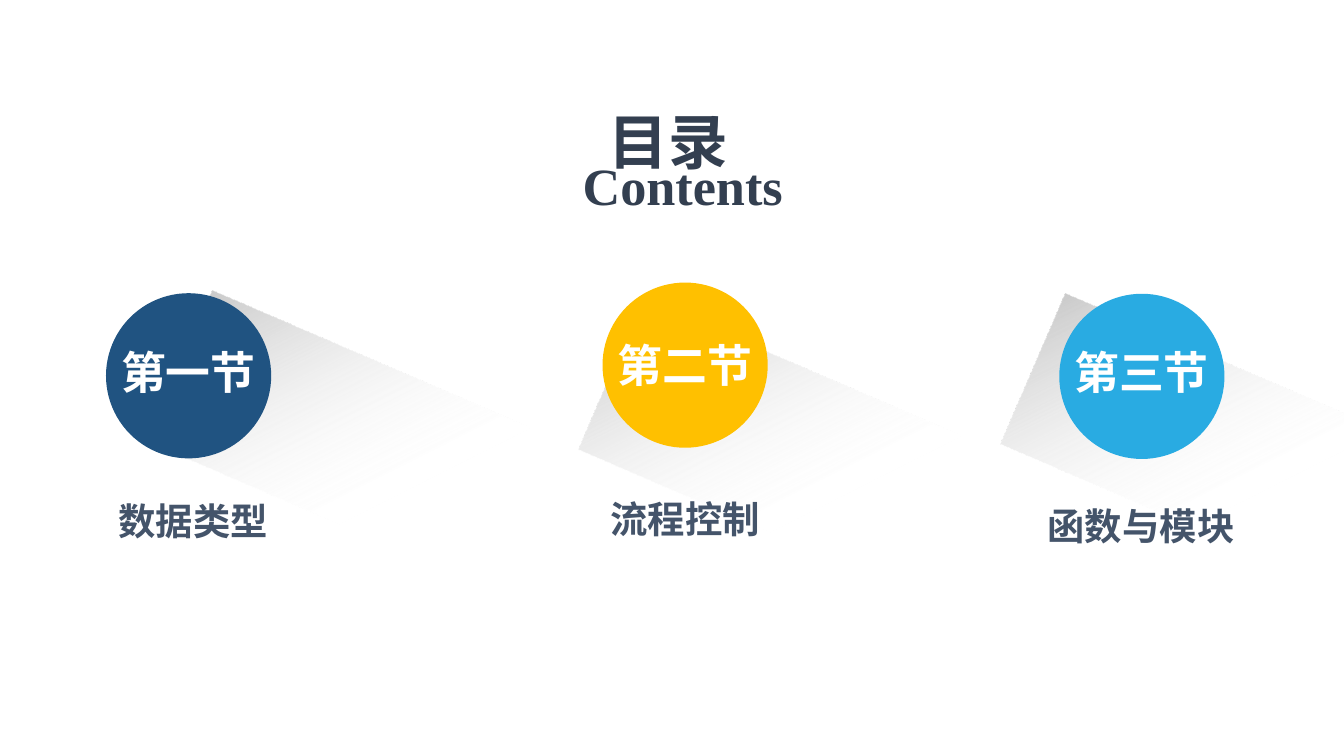
"""Build a contents slide with three numbered sections on long shadows."""
import pptx
import pptx.util
import pptx.dml.color
import pptx.enum.shapes
import pptx.enum.text
import pptx.oxml
import pptx.oxml.ns

Pt = pptx.util.Pt
RGBColor = pptx.dml.color.RGBColor
SHAPE = pptx.enum.shapes.MSO_SHAPE
ALIGN = pptx.enum.text.PP_ALIGN
ANCHOR = pptx.enum.text.MSO_ANCHOR

NAVY = RGBColor(0x20, 0x53, 0x81)
AMBER = RGBColor(0xFF, 0xC0, 0x00)
SKY = RGBColor(0x29, 0xAB, 0xE2)
WHITE = RGBColor(0xFF, 0xFF, 0xFF)
INK = RGBColor(0x33, 0x3F, 0x50)
SLATE = RGBColor(0x44, 0x54, 0x6A)
HAN = "Noto Sans CJK SC"
SERIF = "Times New Roman"

SECTIONS = [
    {"number": "第一节", "topic": "数据类型", "color": NAVY, "circle": (56.8, 157.1),
     "shadow": (85.7, 205.2), "number_top": 181.1, "topic_center": 103.5, "topic_top": 266.4},
    {"number": "第二节", "topic": "流程控制", "color": AMBER, "circle": (322.8, 151.4),
     "shadow": (316.3, 209.5), "number_top": 177.6, "topic_center": 367.2, "topic_top": 265.5},
    {"number": "第三节", "topic": "函数与模块", "color": SKY, "circle": (567.5, 157.4),
     "shadow": (542.7, 206.6), "number_top": 181.4, "topic_center": 611.3, "topic_top": 269.3},
]
DIAMETER = 88.5
SHADOW_SIZE = (267.8, 87.8)
SHADOW_TILT = 23.3
SHADOW_STOPS = [(0, "4991D2", 54), (0, "BFBFBF", 100), (54, "FFFFFF", 0)]
SHADOW_ANGLE = 40
NUMBER_SIZE = (95, 36)
TOPIC_HEIGHT = 24.5
TOPIC_FONT = 20
TOPIC_SLACK = 4


def add_plain_shape(slide, preset, left, top, width, height):
    shape = slide.shapes.add_shape(preset, Pt(left), Pt(top), Pt(width), Pt(height))
    shape.shadow.inherit = False
    shape.line.fill.background()
    return shape


def write(shape, words, size, color, font=HAN, align=ALIGN.CENTER,
          anchor=ANCHOR.MIDDLE, inset=(0, 0), wrap=False):
    frame = shape.text_frame
    frame_format = {
        "margin_left": Pt(inset[0]), "margin_right": Pt(inset[0]),
        "margin_top": Pt(inset[1]), "margin_bottom": Pt(inset[1]),
        "vertical_anchor": anchor, "word_wrap": wrap,
    }
    for name, value in frame_format.items():
        setattr(frame, name, value)
    paragraph = frame.paragraphs[0]
    paragraph.alignment = align
    run = paragraph.add_run()
    run.text = words
    for name, value in {"size": Pt(size), "bold": True, "name": font}.items():
        setattr(run.font, name, value)
    run.font.color.rgb = color
    east_asian = pptx.oxml.parse_xml(
        f'<a:ea {pptx.oxml.ns.nsdecls("a")} typeface="{font}"/>')
    run.font._element.find(pptx.oxml.ns.qn("a:latin")).addnext(east_asian)


def add_words(slide, left, top, width, height, *words, **layout):
    box = slide.shapes.add_textbox(Pt(left), Pt(top), Pt(width), Pt(height))
    write(box, *words, **layout)


def add_long_shadow(slide, left, top):
    shadow = add_plain_shape(slide, SHAPE.RECTANGLE, left, top, *SHADOW_SIZE)
    shadow.rotation = SHADOW_TILT
    shadow.fill.gradient()
    gradient = shadow._element.spPr.find(pptx.oxml.ns.qn("a:gradFill"))
    stops = "".join(
        f'<a:gs pos="{place * 1000}"><a:srgbClr val="{color}">'
        f'<a:alpha val="{opacity * 1000}"/></a:srgbClr></a:gs>'
        for place, color, opacity in SHADOW_STOPS)
    gradient.getparent().replace(gradient, pptx.oxml.parse_xml(
        f'<a:gradFill {pptx.oxml.ns.nsdecls("a")} rotWithShape="1">'
        f'<a:gsLst>{stops}</a:gsLst>'
        f'<a:lin ang="{SHADOW_ANGLE * 60000}" scaled="0"/></a:gradFill>'))


def add_section(slide, section):
    left, top = section["circle"]
    circle = add_plain_shape(slide, SHAPE.OVAL, left, top, DIAMETER, DIAMETER)
    circle.fill.solid()
    circle.fill.fore_color.rgb = section["color"]
    width, height = NUMBER_SIZE
    add_words(slide, left + (DIAMETER - width) / 2 - 0.2, section["number_top"], width, height,
              section["number"], 24, WHITE, anchor=ANCHOR.TOP, inset=(7.2, 3.6))
    width = len(section["topic"]) * TOPIC_FONT + TOPIC_SLACK
    add_words(slide, section["topic_center"] - width / 2, section["topic_top"],
              width, TOPIC_HEIGHT, section["topic"], TOPIC_FONT, SLATE)


def main():
    deck = pptx.Presentation()
    deck.slide_width, deck.slide_height = Pt(720), Pt(405)
    slide = deck.slides.add_slide(deck.slide_layouts[6])
    for section in SECTIONS:
        add_long_shadow(slide, *section["shadow"])
    add_words(slide, 326.2, 56.2, 79.2, 36, "目录", 32, INK,
              align=ALIGN.JUSTIFY, anchor=ANCHOR.TOP, wrap=True)
    heading = add_plain_shape(slide, SHAPE.DIAMOND, 320.4, 54.3, 90.7, 89.3)
    heading.fill.background()
    write(heading, "Contents", 28, INK, font=SERIF)
    for section in SECTIONS:
        add_section(slide, section)
    deck.save("out.pptx")


if __name__ == "__main__":
    main()
